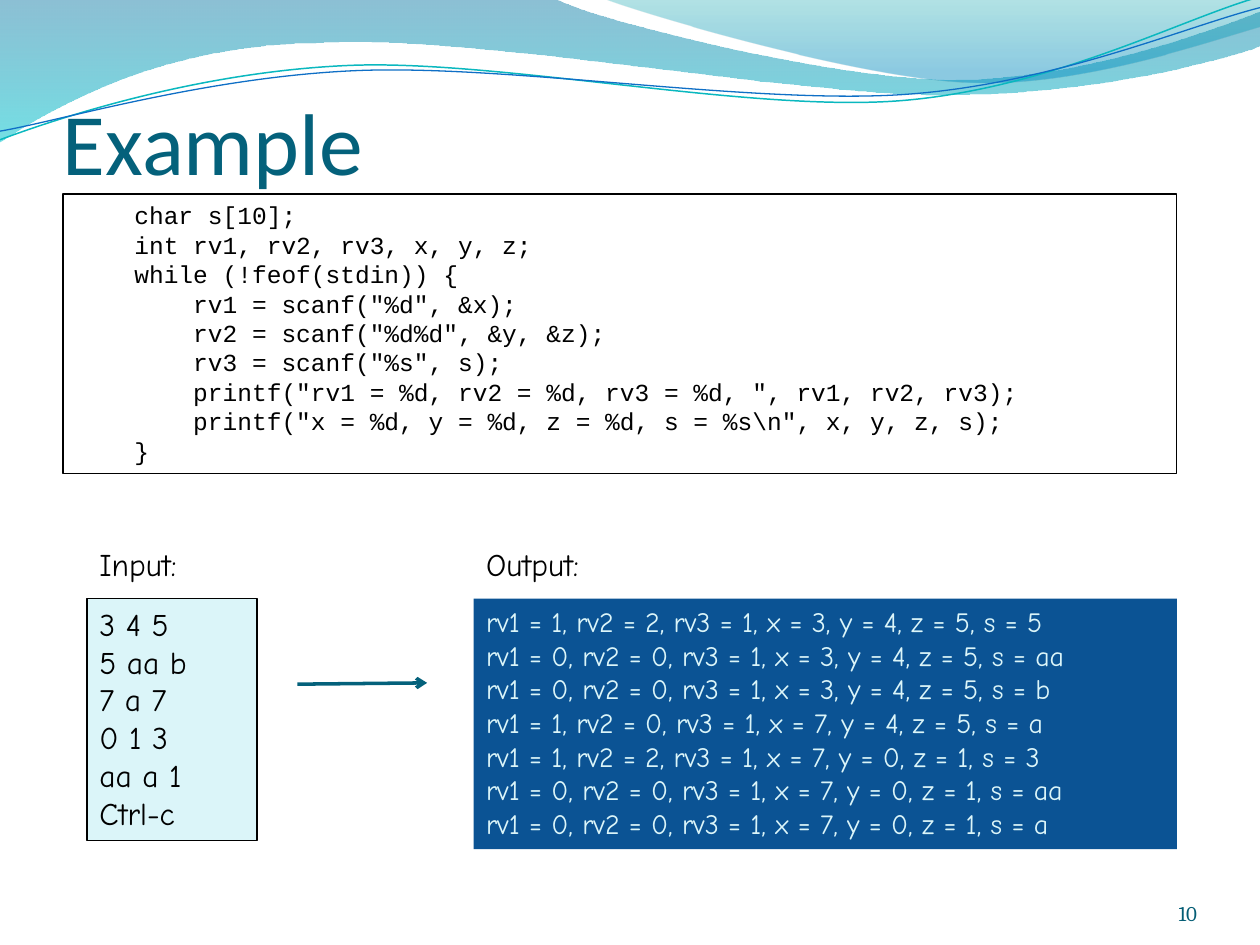
from dataclasses import dataclass

from lxml import etree
from pptx import Presentation
from pptx.dml.color import RGBColor
from pptx.enum.shapes import MSO_CONNECTOR, MSO_SHAPE
from pptx.enum.text import MSO_ANCHOR, PP_ALIGN
from pptx.oxml.ns import qn
from pptx.util import Inches, Pt

RECT, LINE = MSO_SHAPE.RECTANGLE, MSO_CONNECTOR.STRAIGHT
TOP, BOTTOM = MSO_ANCHOR.TOP, MSO_ANCHOR.BOTTOM
LEFT, RIGHT = PP_ALIGN.LEFT, PP_ALIGN.RIGHT
UNIT = Inches(0.1)  # grid of 100 columns by 75 rows
COLS, ROWS = 100, 75


@dataclass(frozen=True)
class Theme:
    """Colours, fonts and type sizes of the slide."""
    ink: str = "000000"
    teal: str = "04617B"
    page: str = "045D75"
    pale: str = "DBF5F9"
    navy: str = "0B5394"
    head: tuple = ("Calibri", 50)
    code: tuple = ("Courier New", 14)
    body: tuple = ("Comic Neue", 18)
    small: tuple = ("Comic Neue", 16)
    foot: tuple = ("Cambria", 12)
    rule: float = 0.75


THEME = Theme()

CODE = """\
char s[10];
int rv1, rv2, rv3, x, y, z;
while (!feof(stdin)) {
    rv1 = scanf("%d", &x);
    rv2 = scanf("%d%d", &y, &z);
    rv3 = scanf("%s", s);
    printf("rv1 = %d, rv2 = %d, rv3 = %d, ", rv1, rv2, rv3);
    printf("x = %d, y = %d, z = %d, s = %s\\n", x, y, z, s);
}""".split("\n")
INPUT = ["3 4 5", "5 aa b", "7 a 7", "0 1 3", "aa a 1", "Ctrl-c"]
NAMES = ("rv1", "rv2", "rv3", "x", "y", "z", "s")
RESULTS = ["1 2 1 3 4 5 5", "0 0 1 3 4 5 aa", "0 0 1 3 4 5 b", "1 0 1 7 4 5 a",
           "1 2 1 7 0 1 3", "0 0 1 7 0 1 aa", "0 0 1 7 0 1 a"]
OUTPUT = [", ".join(f"{name} = {value}" for name, value in zip(NAMES, row.split()))
          for row in RESULTS]

# Each wave: start, then straight (one point) or curved (three points) parts.
BAND = [(0, -0.1), [(44, -0.1)],
        [(47.6, 1.7), (66.4, 6.3), (75.8, 6.3)], [(85.3, 6.3), (95.8, 2.6), (100, 0.9)],
        [(100.1, 3.6)], [(98.3, 4.4), (87, 7.6), (74.6, 7.5)],
        [(62.2, 7.5), (38.2, 2.8), (25.7, 3.4)], [(12.9, 3.5), (4.6, 8.3), (-0.1, 11.3)]]
CREST = [(47.9, -0.1), [(50.9, 1.1), (68.2, 6.2), (76.9, 6.5)],
         [(85.6, 6.9), (96.1, 3.2), (100, 2.1)], [(100, 0)]]
UPPER = [(-0.2, 8.74), [(4.68, 7.17), (15.84, 4.09), (27.75, 4.15)],
         [(39.56, 4.21), (59.14, 9.34), (71.17, 9.01)],
         [(83.2, 8.67), (93.95, 3.57), (100.03, 2.16)]]
LOWER = [(-0.16, 8.05), [(4.58, 7.47), (16.43, 4.52), (28.34, 4.58)],
         [(40.35, 4.65), (59.58, 8.76), (71.6, 8.52)],
         [(83.52, 8.28), (94.23, 4.18), (100.19, 2.97)]]
FILLS = [(BAND, [(0, "0074A1", 45), (1, "00C6CF", 55)]),
         (CREST, [(0, "00A1A9", 30), (0.8, "008BBF", 45)])]
LINES = [(UPPER, "0AB8BF", 0.85), (LOWER, "0F6FC6", 0.75)]
TILT = 357.3


def grid(*spans):
    """Turn grid counts into lengths."""
    return [round(span * UNIT) for span in spans]


def color(code):
    """Return the colour for a hex code."""
    return RGBColor.from_string(code)


def paint(shape, fill=None, line=None, width=THEME.rule):
    """Give a shape a plain fill and outline, without shadow."""
    shape.shadow.inherit = False
    if fill:
        shape.fill.solid()
        shape.fill.fore_color.rgb = color(fill)
    else:
        shape.fill.background()
    if line:
        shape.line.color.rgb = color(line)
        shape.line.width = Pt(width)
    else:
        shape.line.fill.background()


def write(shape, lines, font, ink, inset=(1, 0.5, 1, 0.5), anchor=TOP, align=LEFT):
    """Write one paragraph for each line."""
    frame = shape.text_frame
    frame.word_wrap = True
    frame.vertical_anchor = anchor
    (frame.margin_left, frame.margin_top,
     frame.margin_right, frame.margin_bottom) = grid(*inset)
    for num, line in enumerate(lines):
        para = frame.add_paragraph() if num else frame.paragraphs[0]
        para.alignment = align
        run = para.add_run()
        run.text = line
        run.font.name, run.font.size = font[0], Pt(font[1])
        run.font.color.rgb = color(ink)


def label(slide, box, text, font, ink, **style):
    """Place a line of text in a box."""
    write(slide.shapes.add_textbox(*grid(*box)), [text], font, ink, **style)


def panel(slide, box, lines, font, ink, fill=None, line=None, **style):
    """Place a rectangle of text lines in a box."""
    shape = slide.shapes.add_shape(RECT, *grid(*box))
    paint(shape, fill, line)
    write(shape, lines, font, ink, **style)


def wave(slide, box, route, close):
    """Draw one wave from the corner of a box, with true curves."""
    left, top = box[:2]
    start, *parts = route
    pen = slide.shapes.build_freeform(*grid(left + start[0], top + start[1]))
    pen.add_line_segments([grid(left + x, top + y) for part in parts for x, y in part],
                          close=close)
    shape = pen.convert_to_shape()
    legs = iter(list(shape._element.spPr.iter(qn("a:lnTo"))))
    for part in parts:
        first, *rest = [next(legs) for _ in part]
        if rest:
            first.addprevious(curve := etree.Element(qn("a:cubicBezTo")))
            for leg in (first, *rest):
                curve.append(leg[0])
                leg.getparent().remove(leg)
    return shape


def banner(slide, box):
    """Draw the waves along the top of a box."""
    for route, stops in FILLS:
        shape = wave(slide, box, route, True)
        paint(shape)
        shape.fill.gradient()
        shape.fill.gradient_angle = 270
        for stop, (place, code, _) in zip(shape.fill.gradient_stops, stops):
            stop.position = place
            stop.color.rgb = color(code)
        tags = list(shape._element.spPr.iter(qn("a:srgbClr")))
        for tag, (_, _, alpha) in zip(tags, stops):
            etree.SubElement(tag, qn("a:alpha"), val=str(alpha * 1000))
    for route, code, width in LINES:
        shape = wave(slide, box, route, False)
        shape.rotation = TILT
        paint(shape, line=code, width=width)


def arrow(slide, box):
    """Draw an arrow from the lower left to the upper right of a box."""
    left, top, width, height = box
    link = slide.shapes.add_connector(
        LINE, *grid(left, top + height, left + width, top))
    link.line.color.rgb = color(THEME.teal)
    link.line.width = Pt(2)
    props = link._element.spPr
    etree.SubElement(props.find(qn("a:ln")), qn("a:tailEnd"), type="arrow")
    etree.SubElement(props, qn("a:effectLst"))


def trial(slide, box):
    """Place the input, the arrow and the output in a box."""
    left, top, width, height = box
    mid, low = left + 30.7, top + 4.7
    panel(slide, (mid, low, width - 30.7, height - 4.7), OUTPUT,
          THEME.small, THEME.pale, THEME.navy)
    panel(slide, (left, low, 13.5, 19.2), INPUT,
          THEME.body, THEME.ink, THEME.pale, THEME.ink)
    arrow(slide, (left + 16.7, top + 11.4, 10.3, 0.1))
    for x, wide, text in ((left, 16.8, "Input:"), (mid, 34.3, "Output:")):
        label(slide, (x, top, wide, 4), text, THEME.body, THEME.ink)


def build():
    """Build and save the slide."""
    deck = Presentation()
    deck.slide_width, deck.slide_height = grid(COLS, ROWS)
    slide = deck.slides.add_slide(deck.slide_layouts[6])
    banner(slide, (0, 0, COLS, ROWS))
    label(slide, (5, 6.4, 90, 8.9), "Example", THEME.head, THEME.teal,
          inset=(0, 0.5, 0, 0), anchor=BOTTOM)
    label(slide, (86.7, 69.5, 8.3, 4), "10", THEME.foot, THEME.page,
          inset=(0, 0, 0, 0), anchor=BOTTOM, align=RIGHT)
    panel(slide, (5, 15.4, 88.4, 22.2), CODE, THEME.code, THEME.ink,
          line=THEME.ink, inset=(5.67, 0.5, 1, 0.5))
    trial(slide, (6.9, 42.8, 86.5, 24.6))
    deck.save("out.pptx")


build()
